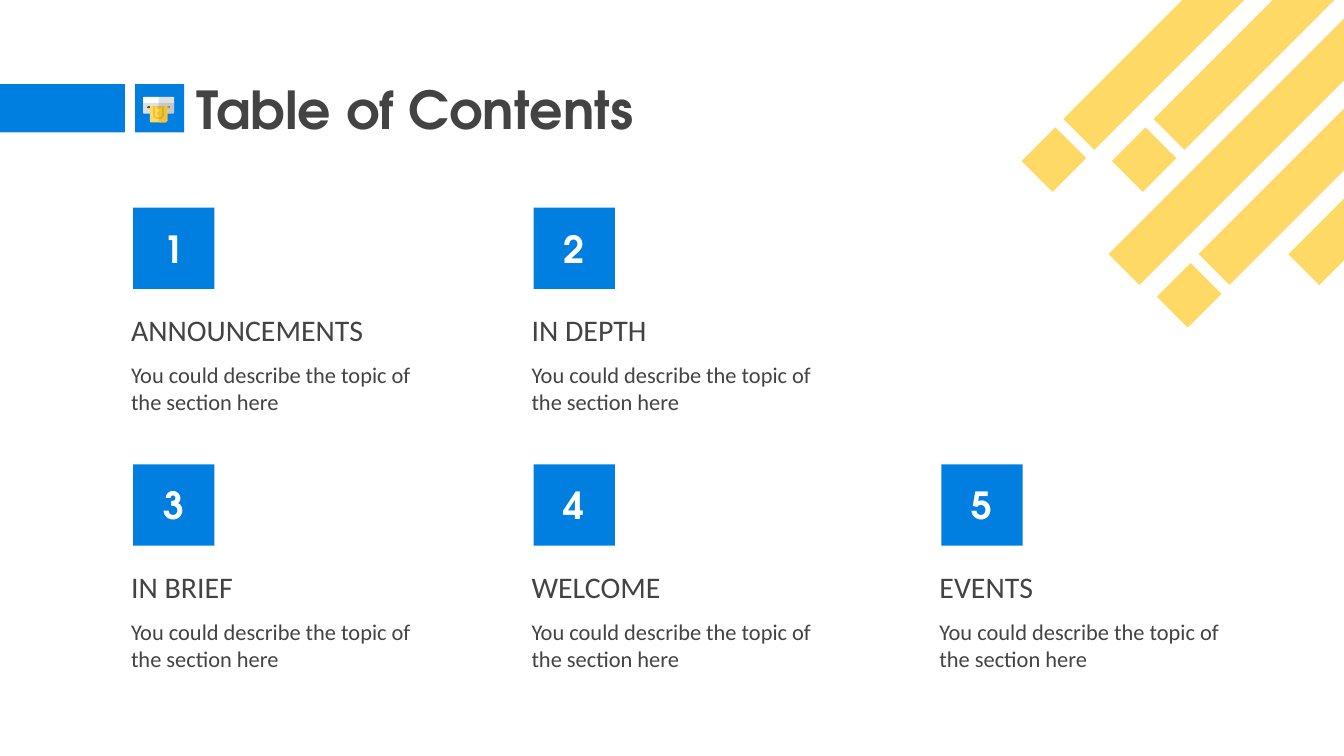
from dataclasses import dataclass

from lxml import etree
from pptx import Presentation
from pptx.dml.color import RGBColor
from pptx.enum.shapes import MSO_SHAPE as Shape
from pptx.enum.text import MSO_ANCHOR as Anchor, MSO_AUTO_SIZE as AutoSize, PP_ALIGN as Align
from pptx.oxml.ns import qn
from pptx.util import Pt

PX = 9144  # 100 px to the inch


@dataclass(frozen=True)
class Theme:
    blue: str = "007FE0"
    yellow: str = "FFD966"
    gold: str = "F1C232"
    ink: str = "434343"
    gray: str = "999999"
    silver: str = "E0E0E0"
    white: str = "FFFFFF"
    display: str = "TeX Gyre Adventor"
    text: str = "Calibri"
    title_size: int = 56
    number_size: int = 40
    heading_size: int = 32
    body_size: int = 24
    shade_alpha: int = 16


THEME = Theme()
INSET = 20
SQUARE = 121
COLUMNS = (175, 771, 1378)
ROWS = (309, 691)
DESCRIPTION = "You could describe the topic of the section here"

# topic, column, row
TOPICS = (
    ("ANNOUNCEMENTS", 0, 0),
    ("IN DEPTH", 1, 0),
    ("IN BRIEF", 0, 1),
    ("WELCOME", 1, 1),
    ("EVENTS", 2, 1),
)

# left, top, length of each diagonal stripe before it is turned
STRIPES = (
    (1533, 205, 71), (1517, -46, 604), (1667, 205, 71), (1651, -46, 604),
    (1584, 155, 604), (1901, 274, 268), (1718, 155, 604), (1734, 407, 71),
)

# colour, opacity in percent, outline of each part of the cash machine
CASH_MACHINE = (
    (THEME.silver, 100, ((214, 150), (213, 152), (213, 168), (214, 169), (224, 169), (226, 168),
                         (226, 161), (246, 161), (246, 168), (247, 169), (258, 169), (259, 168),
                         (259, 152), (258, 150))),
    (THEME.ink, THEME.shade_alpha, ((236, 150), (236, 161), (246, 161), (246, 168), (247, 169),
                                    (258, 169), (259, 168), (259, 152), (258, 150))),
    (THEME.white, 100, ((214, 144), (213, 145), (213, 153), (259, 153), (259, 145), (258, 144))),
    (THEME.ink, THEME.shade_alpha, ((236, 144), (236, 153), (259, 153), (259, 145), (258, 144))),
    (THEME.ink, 100, ((220, 158), (219, 160), (220, 161), (252, 161), (253, 160), (252, 158))),
    (THEME.gray, 100, ((236, 158), (236, 161), (252, 161), (253, 160), (252, 158))),
    (THEME.yellow, 100, ((223, 158), (223, 180), (224, 182), (247, 182), (249, 180), (249, 158))),
    (THEME.gold, 100, ((236, 166), (234, 167), (234, 170), (236, 171), (237, 170), (237, 167))),
    (THEME.gold, 100, ((236, 158), (236, 182), (247, 182), (249, 180), (249, 158))),
    (THEME.gold, 100, ((228, 158), (228, 173), (232, 177), (240, 177), (244, 173), (244, 158),
                       (241, 158), (241, 172), (239, 174), (233, 174), (231, 172), (231, 158))),
    (THEME.gold, 100, ((232, 158), (233, 161), (236, 162), (239, 161), (240, 158))),
    (THEME.ink, THEME.shade_alpha, ((241, 158), (241, 172), (239, 174), (236, 174), (236, 177),
                                    (240, 177), (244, 173), (244, 158))),
    (THEME.ink, THEME.shade_alpha, ((236, 166), (236, 171), (237, 170), (237, 167))),
    (THEME.ink, THEME.shade_alpha, ((236, 158), (236, 162), (239, 161), (240, 158))),
)


def paint(shape, color, opacity=100):
    shape.shadow.inherit = False
    shape.line.fill.background()
    shape.fill.solid()
    shape.fill.fore_color.rgb = RGBColor.from_string(color)
    if opacity < 100:
        value = shape.fill._xPr.find(".//" + qn("a:srgbClr"))
        etree.SubElement(value, qn("a:alpha")).set("val", str(opacity * 1000))


def add_rect(page, left, top, width, height, color):
    rect = page.shapes.add_shape(Shape.RECTANGLE, left * PX, top * PX, width * PX, height * PX)
    paint(rect, color)
    return rect


def add_outline(page, color, opacity, points):
    builder = page.shapes.build_freeform(*points[0], scale=PX)
    builder.add_line_segments(points[1:], close=True)
    paint(builder.convert_to_shape(), color, opacity)


def write(shape, text, font, size, color=THEME.ink, bold=False, anchor=Anchor.TOP, align=Align.LEFT):
    frame = shape.text_frame
    frame.word_wrap = True
    frame.auto_size = AutoSize.NONE
    frame.vertical_anchor = anchor
    frame.margin_left = frame.margin_right = INSET * PX
    frame.margin_top = frame.margin_bottom = INSET * PX
    frame.text = text
    para = frame.paragraphs[0]
    para.alignment = align
    for span in para.runs:
        span.font.name = font
        span.font.size = Pt(size)
        span.font.bold = bold
        span.font.color.rgb = RGBColor.from_string(color)


def add_text(page, left, top, width, height, text, size, anchor=Anchor.TOP):
    box = page.shapes.add_textbox(left * PX, top * PX, width * PX, height * PX)
    write(box, text, THEME.text, size, anchor=anchor)


def add_title(page, text):
    title = page.shapes.title
    title.left, title.top, title.width, title.height = 272 * PX, 114 * PX, 1356 * PX, 94 * PX
    write(title, text, THEME.display, THEME.title_size, bold=True, anchor=Anchor.MIDDLE)


def add_topic(page, number, heading, left, top):
    """Add a numbered square with a heading and a description under it."""
    square = add_rect(page, left + 23, top, SQUARE, SQUARE, THEME.blue)
    write(square, str(number), THEME.display, THEME.number_size, THEME.white, True,
          Anchor.MIDDLE, Align.CENTER)
    add_text(page, left, top + SQUARE, 476, 107, heading, THEME.heading_size, Anchor.BOTTOM)
    add_text(page, left, top + 209, 476, 121, DESCRIPTION, THEME.body_size)


def main():
    deck = Presentation()
    deck.slide_width, deck.slide_height = 2000 * PX, 1125 * PX
    page = deck.slides.add_slide(deck.slide_layouts[5])

    for left, top, length in STRIPES:
        add_rect(page, left, top, length, 65, THEME.yellow).rotation = 135
    add_rect(page, 0, 125, 186, 72, THEME.blue)
    add_rect(page, 201, 125, 73, 72, THEME.blue)
    for color, opacity, points in CASH_MACHINE:
        add_outline(page, color, opacity, points)

    add_title(page, "Table of Contents")
    for number, (heading, column, row) in enumerate(TOPICS, 1):
        add_topic(page, number, heading, COLUMNS[column], ROWS[row])
    deck.save("out.pptx")


if __name__ == "__main__":
    main()
